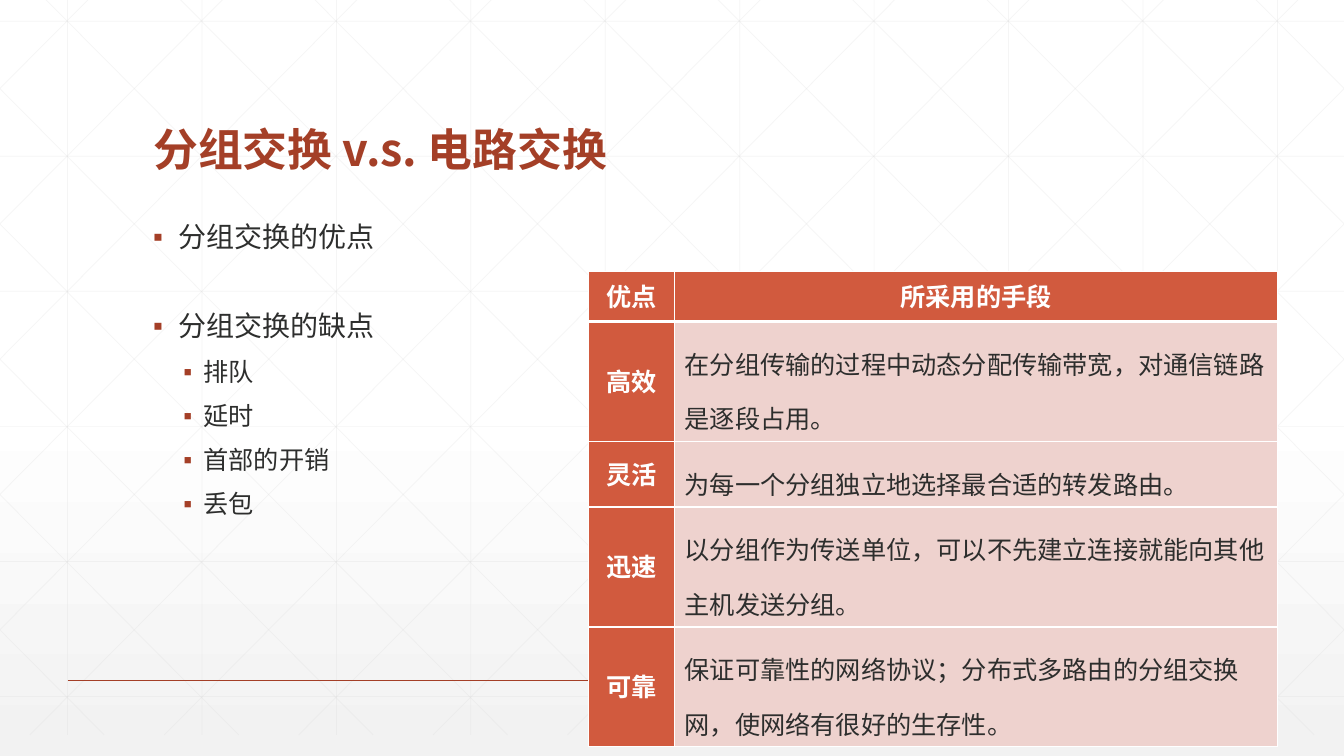
"""Builds the slide comparing packet switching with circuit switching."""
from lxml.etree import SubElement
from pptx import Presentation
from pptx.dml.color import RGBColor
from pptx.enum.shapes import MSO_CONNECTOR
from pptx.enum.text import MSO_ANCHOR, MSO_AUTO_SIZE, PP_ALIGN
from pptx.oxml.ns import qn
from pptx.util import Inches, Pt

FONT, BULLET_FONT = "Noto Sans CJK SC", "Arial"
RUST, ORANGE, PINK = "A43F27", "D15A3E", "EED2CE"
INK, WHITE, PALE, GRID = "2D2E2D", "FFFFFF", "F2F2F2", "D9D9D9"

TITLE = "分组交换 v.s. 电路交换"
POINTS = [
    (0, "分组交换的优点", 0),
    (0, "分组交换的缺点", 42),
    (1, "排队", 12),
    (1, "延时", 12),
    (1, "首部的开销", 12),
    (1, "丢包", 12),
]
LEVELS = [(0.25, 0.25, 20), (0.5, 0.2, 18)]
ADVANTAGES = [
    ("优点", "所采用的手段"),
    ("高效", "在分组传输的过程中动态分配传输带宽，对通信链路是逐段占用。"),
    ("灵活", "为每一个分组独立地选择最合适的转发路由。"),
    ("迅速", "以分组作为传送单位，可以不先建立连接就能向其他主机发送分组。"),
    ("可靠", "保证可靠性的网络协议；分布式多路由的分组交换网，使网络有很好的生存性。"),
]
COLUMN_WIDTHS = [0.85, 5.98]
ROW_HEIGHTS = [0.5, 1.19, 0.65, 1.19, 1.19]

WIDTH, HEIGHT = 13.33, 7.5
GRID_TOP, GRID_BOTTOM = -0.21, 7.29
STEP_X, STEP_Y = 4 / 3, 1.34
DIAGONAL_START, DIAGONAL_RUN = 0.25, 7.45


def rgb(value):
    return RGBColor.from_string(value)


def style(paragraph, size, color, bold=False, spacing=0.9, align=PP_ALIGN.LEFT):
    paragraph.line_spacing = spacing
    paragraph.alignment = align
    font = paragraph.font
    font.size, font.bold, font.name = Pt(size), bold, FONT
    font.color.rgb = rgb(color)
    SubElement(font._element, qn("a:ea"), typeface=FONT)


def add_line(slide, start, end, color, width, opacity=None):
    line = slide.shapes.add_connector(
        MSO_CONNECTOR.STRAIGHT, *(Inches(v) for v in (*start, *end)))
    line.line.color.rgb = rgb(color)
    line.line.width = Pt(width)
    properties = line._element.spPr
    if opacity:
        tint = properties.find(".//" + qn("a:srgbClr"))
        SubElement(tint, qn("a:alpha"), val=str(opacity * 1000))
    SubElement(properties, qn("a:effectLst"))


def grid_lines():
    for i in range(10):
        x = 0.67 + i * STEP_X
        yield (x, GRID_TOP), (x, GRID_BOTTOM)
    for i in range(6):
        y = 0.21 + i * STEP_Y
        yield (0, y), (WIDTH, y)
    slope = (GRID_BOTTOM - GRID_TOP) / DIAGONAL_RUN
    for i in range(-5, 10):
        top_x = DIAGONAL_START + i * STEP_X
        left, right = max(top_x, 0), min(top_x + DIAGONAL_RUN, WIDTH)
        y1, y2 = (GRID_TOP + (x - top_x) * slope for x in (left, right))
        yield (left, y1), (right, y2)
        yield (WIDTH - left, y1), (WIDTH - right, y2)


def add_background(slide):
    fill = slide.background.fill
    fill.gradient()
    fill.gradient_angle = 270
    for stop, color, position in zip(fill.gradient_stops, (WHITE, PALE), (0.53, 1)):
        stop.color.rgb = rgb(color)
        stop.position = position
    for start, end in grid_lines():
        add_line(slide, start, end, GRID, 0.5, 25)
    add_line(slide, (0.67, 6.75), (12.67, 6.75), RUST, 1)


def add_title(slide):
    title = slide.shapes.title
    title._element.getparent().append(title._element)
    title.left, title.top = Inches(1.42), Inches(0.55)
    title.width, title.height = Inches(10.5), Inches(1.25)
    frame = title.text_frame
    frame.text = TITLE
    frame.auto_size = MSO_AUTO_SIZE.NONE
    frame.vertical_anchor = MSO_ANCHOR.BOTTOM
    style(frame.paragraphs[0], 32, RUST, bold=True)


def add_points(slide):
    frame = slide.shapes.add_textbox(
        Inches(1.42), Inches(2.17), Inches(10.5), Inches(4.17)).text_frame
    frame.word_wrap = True
    for i, (level, text, gap) in enumerate(POINTS):
        paragraph = frame.add_paragraph() if i else frame.paragraphs[0]
        paragraph.text, paragraph.level = text, level
        paragraph.space_before = Pt(gap)
        indent, hang, size = LEVELS[level]
        properties = paragraph._p.get_or_add_pPr()
        properties.set("marL", str(Inches(indent)))
        properties.set("indent", str(-Inches(hang)))
        bullet_color = SubElement(properties, qn("a:buClr"))
        SubElement(bullet_color, qn("a:srgbClr"), val=RUST)
        SubElement(properties, qn("a:buFont"), typeface=BULLET_FONT)
        SubElement(properties, qn("a:buChar"), char="▪")
        style(paragraph, size, INK)


def underline_heading(cell):
    properties = cell._tc.get_or_add_tcPr()
    border = SubElement(properties, qn("a:lnB"), w=str(Pt(3)))
    SubElement(SubElement(border, qn("a:solidFill")), qn("a:srgbClr"), val=WHITE)
    properties.insert(0, border)


def add_advantages(slide):
    table = slide.shapes.add_table(
        len(ADVANTAGES), len(COLUMN_WIDTHS), Inches(5.84), Inches(2.69),
        Inches(sum(COLUMN_WIDTHS)), Inches(sum(ROW_HEIGHTS))).table
    table.first_col, table.horz_banding = True, False
    for column, width in zip(table.columns, COLUMN_WIDTHS):
        column.width = Inches(width)
    for row, height in zip(table.rows, ROW_HEIGHTS):
        row.height = Inches(height)
    for r, texts in enumerate(ADVANTAGES):
        for c, text in enumerate(texts):
            cell = table.cell(r, c)
            cell.text = text
            cell.vertical_anchor = MSO_ANCHOR.MIDDLE
            heading = r == 0 or c == 0
            cell.fill.solid()
            cell.fill.fore_color.rgb = rgb(ORANGE if heading else PINK)
            paragraph = cell.text_frame.paragraphs[0]
            paragraph._p.get_or_add_pPr().set("hangingPunct", "0")
            if heading:
                style(paragraph, 18, WHITE, bold=True, align=PP_ALIGN.CENTER)
            else:
                style(paragraph, 18, INK, spacing=1.5)
            if r == 0:
                underline_heading(cell)
    corner = table.cell(0, 0)
    corner.margin_left = corner.margin_right = Inches(0.12)
    corner.margin_top = corner.margin_bottom = Inches(0.08)


def main():
    deck = Presentation()
    deck.slide_width, deck.slide_height = Inches(WIDTH), Inches(HEIGHT)
    slide = deck.slides.add_slide(deck.slide_layouts[5])
    add_background(slide)
    add_title(slide)
    add_points(slide)
    add_advantages(slide)
    deck.save("out.pptx")


if __name__ == "__main__":
    main()
